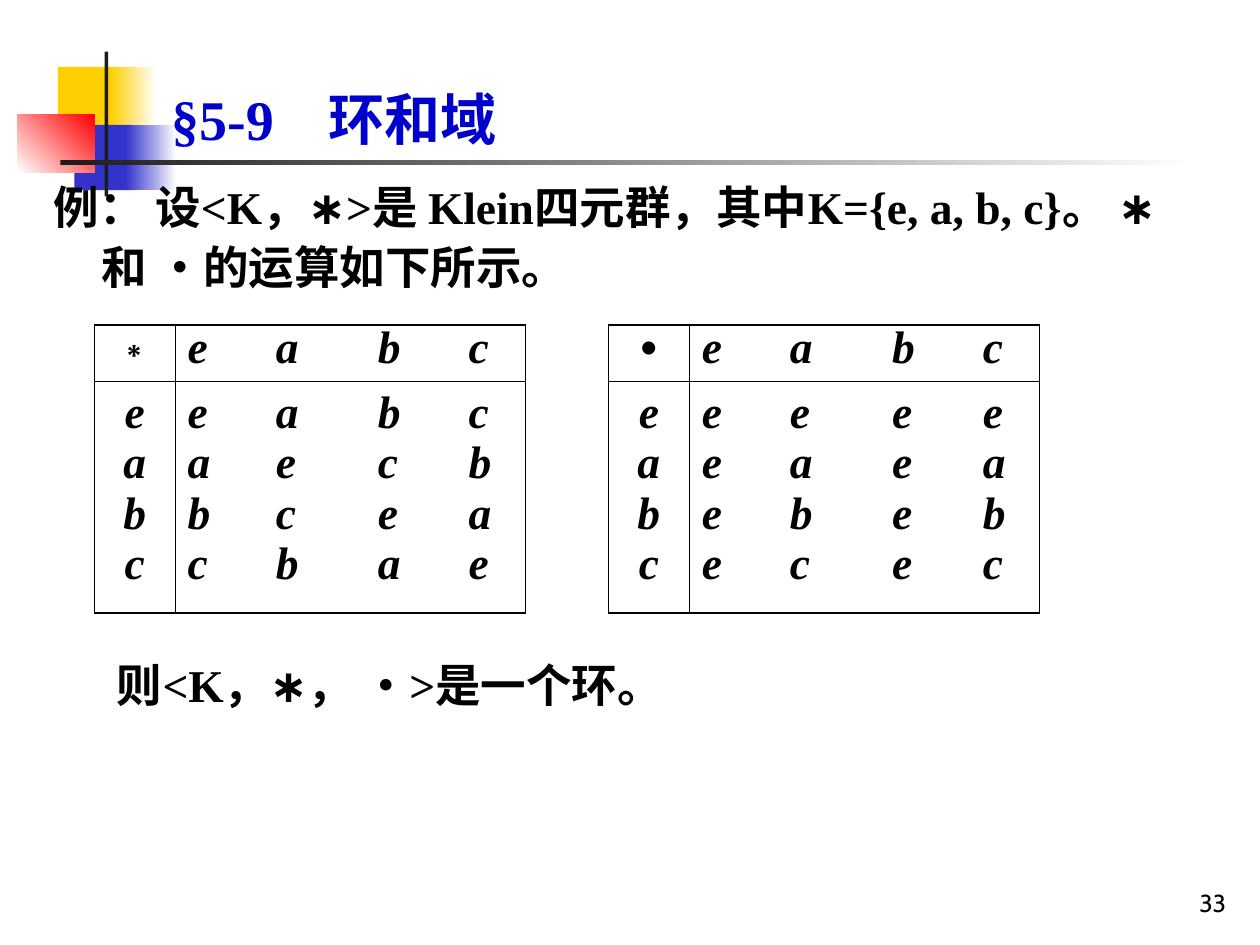
from dataclasses import dataclass
from itertools import groupby

from lxml import etree
from pptx import Presentation
from pptx.dml.color import RGBColor
from pptx.enum.shapes import MSO_SHAPE
from pptx.enum.text import MSO_ANCHOR, PP_ALIGN
from pptx.oxml.ns import qn
from pptx.util import Inches, Pt

RECTANGLE = MSO_SHAPE.RECTANGLE
BOTTOM = MSO_ANCHOR.BOTTOM
CENTER, RIGHT = PP_ALIGN.CENTER, PP_ALIGN.RIGHT


@dataclass(frozen=True)
class Theme:
    black: str = "000000"
    white: str = "FFFFFF"
    charcoal: str = "1C1C1C"
    yellow: str = "FFCF01"
    blue: str = "3333CC"
    red: str = "FF0000"
    title_blue: str = "0000CC"
    serif: str = "Times New Roman"
    symbol: str = "Arial"
    number: str = "Cabin"
    title_size: int = 32
    body_size: int = 26
    star_size: int = 24
    number_size: int = 14
    outer_line: float = 1.08
    inner_line: float = 0.45


THEME = Theme()
SYMBOLS = "∗•"


def write(paragraph, text, size=THEME.body_size, color=THEME.black,
          font=THEME.serif, bold=True, italic=False, tabs=()):
    """Fill a paragraph, with operation symbols in their own font."""
    for is_symbol, letters in groupby(text, lambda letter: letter in SYMBOLS):
        run = paragraph.add_run()
        run.text = "".join(letters)
        run.font.name = THEME.symbol if is_symbol else font
        run.font.size = Pt(size)
        run.font.bold = bold
        run.font.italic = italic and not is_symbol
        run.font.color.rgb = RGBColor.from_string(color)
    if tabs:
        stops = etree.SubElement(paragraph._p.get_or_add_pPr(), qn("a:tabLst"))
        for position in tabs:
            etree.SubElement(stops, qn("a:tab"), pos=str(Inches(position)), algn="l")


def add_frame(left, top, width, height):
    box = slide.shapes.add_textbox(Inches(left), Inches(top), Inches(width), Inches(height))
    box.text_frame.word_wrap = True
    return box.text_frame


prs = Presentation()
prs.slide_width, prs.slide_height = Inches(10), Inches(7.5)
slide = prs.slides.add_slide(prs.slide_layouts[6])

# Corner ornament and title rule: place, start colour, end colour, angle
ornament = [
    ((0.46, 0.53, 0.48, 0.52), THEME.yellow, None, 0),
    ((0.88, 0.53, 0.36, 0.52), THEME.yellow, THEME.white, 0),
    ((0.59, 0.99, 0.46, 0.52), THEME.blue, None, 0),
    ((1, 0.99, 0.4, 0.52), THEME.blue, THEME.white, 0),
    ((0.14, 0.91, 0.61, 0.46), THEME.white, THEME.red, 45),
    ((0.83, 0.41, 0.03, 1.15), THEME.charcoal, None, 0),
    ((0.48, 1.27, 9, 0.04), THEME.charcoal, THEME.white, 0),
]
for place, start, end, angle in ornament:
    block = slide.shapes.add_shape(RECTANGLE, *map(Inches, place))
    block.shadow.inherit = False
    block.line.fill.background()
    if end:
        block.fill.gradient()
        block.fill.gradient_angle = angle
        for stop, color in zip(block.fill.gradient_stops, (start, end)):
            stop.color.rgb = RGBColor.from_string(color)
    else:
        block.fill.solid()
        block.fill.fore_color.rgb = RGBColor.from_string(start)

page_number = add_frame(7.75, 6.83, 2.08, 0.5)
page_number.vertical_anchor = BOTTOM
page_number.paragraphs[0].alignment = RIGHT
write(page_number.paragraphs[0], "33", THEME.number_size, font=THEME.number, bold=False)

title = add_frame(1.26, 0, 8.52, 1.25)
title.vertical_anchor = BOTTOM
write(title.paragraphs[0], "§5-9\t环和域", THEME.title_size, THEME.title_blue, tabs=[1.25])

example = add_frame(0.33, 1.33, 9.17, 1.14).paragraphs[0]
example.line_spacing = 1.1
indent = example._p.get_or_add_pPr()
indent.set("marL", str(Inches(0.38)))
indent.set("indent", str(Inches(-0.38)))
write(example, "例： 设<K，∗>是 Klein四元群，其中K={e, a, b, c}。 ∗和 •的运算如下所示。")

# Operation tables: left edge, symbol, symbol size, products by row
elements = "eabc"
operations = [
    (0.75, "∗", THEME.star_size, ["eabc", "aecb", "bcea", "cbae"]),
    (4.83, "•", THEME.body_size, ["eeee", "eaea", "ebeb", "ecec"]),
]
for left, symbol, symbol_size, products in operations:
    table = slide.shapes.add_table(
        2, 2, Inches(left), Inches(2.58), Inches(3.42), Inches(2.28)).table
    table.first_row = table.horz_banding = False
    table.columns[0].width, table.columns[1].width = Inches(0.64), Inches(2.78)
    table.rows[0].height, table.rows[1].height = Inches(0.45), Inches(1.83)
    contents = [[[symbol], [elements]], [elements, products]]
    for row, col in ((0, 0), (0, 1), (1, 0), (1, 1)):
        cell = table.cell(row, col)
        cell.fill.background()
        outer_sides = {"lnR" if col else "lnL", "lnB" if row else "lnT"}
        for index, side in enumerate(("lnL", "lnR", "lnT", "lnB")):
            width = THEME.outer_line if side in outer_sides else THEME.inner_line
            border = etree.Element(qn(f"a:{side}"), w=str(Pt(width)))
            border_fill = etree.SubElement(border, qn("a:solidFill"))
            etree.SubElement(border_fill, qn("a:srgbClr"), val=THEME.black)
            cell._tc.get_or_add_tcPr().insert(index, border)
        for number, entries in enumerate(contents[row][col]):
            frame = cell.text_frame
            paragraph = frame.add_paragraph() if number else frame.paragraphs[0]
            if row == 0:
                paragraph.line_spacing = 0.8
            if col == 0:
                paragraph.alignment = CENTER
            write(paragraph, "\t".join(entries), italic=True,
                  size=symbol_size if row == col == 0 else THEME.body_size,
                  tabs=(0.7, 1.51, 2.23) if col else ())

conclusion = add_frame(0.83, 5.08, 5.92, 0.62).paragraphs[0]
conclusion.line_spacing = 1.2
conclusion.space_before = Pt(16.2)
write(conclusion, "则<K，∗， •>是一个环。")

prs.save("out.pptx")
